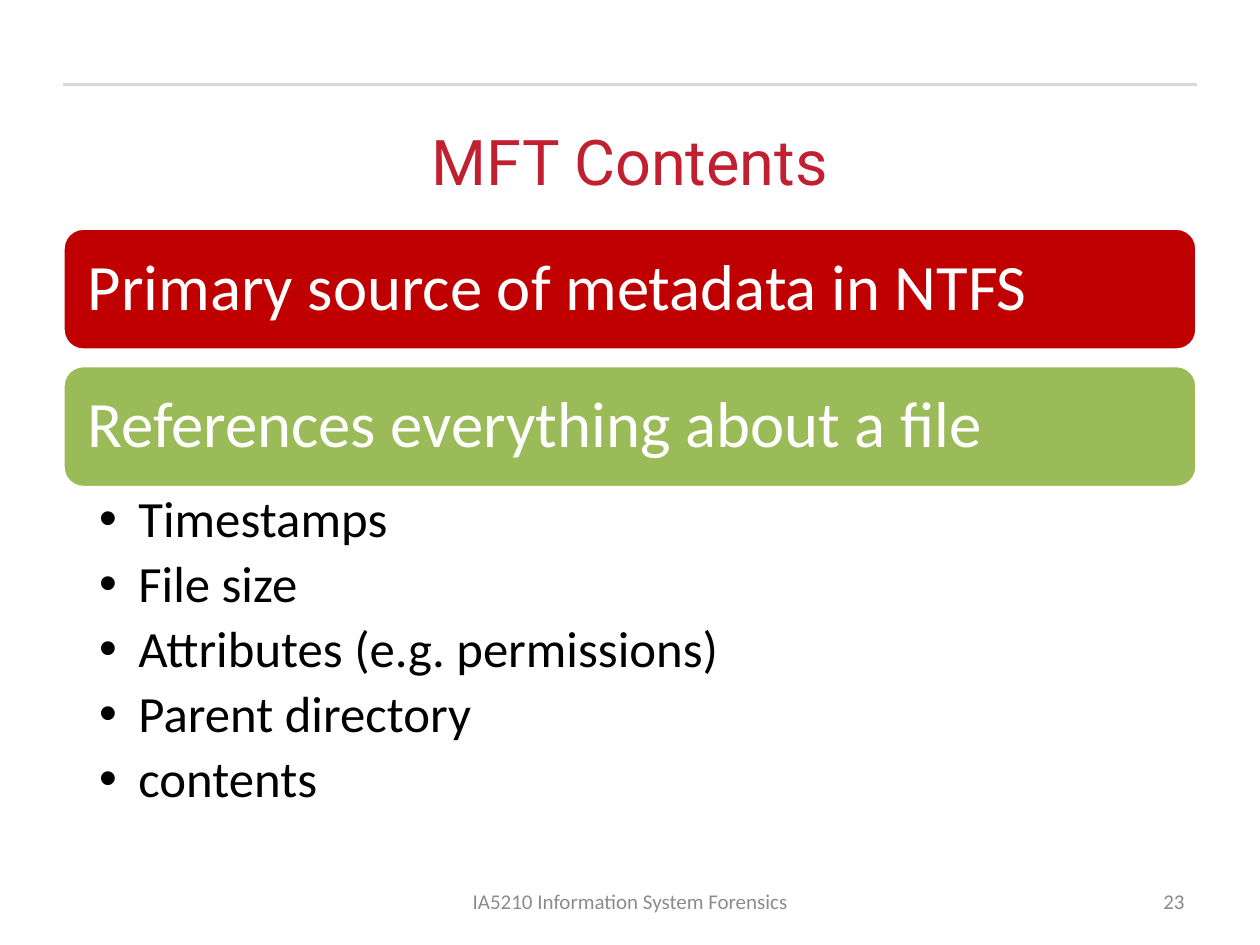
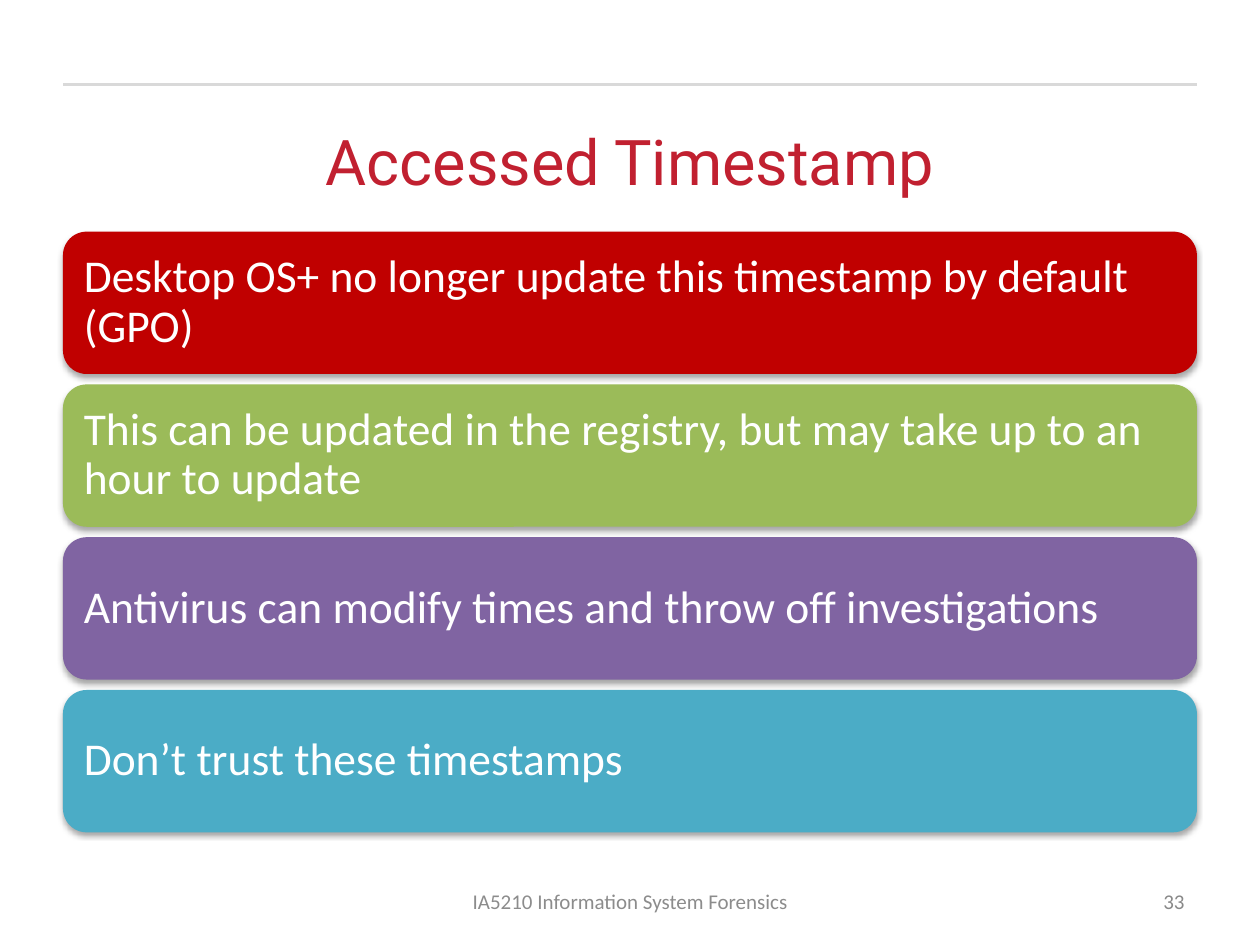
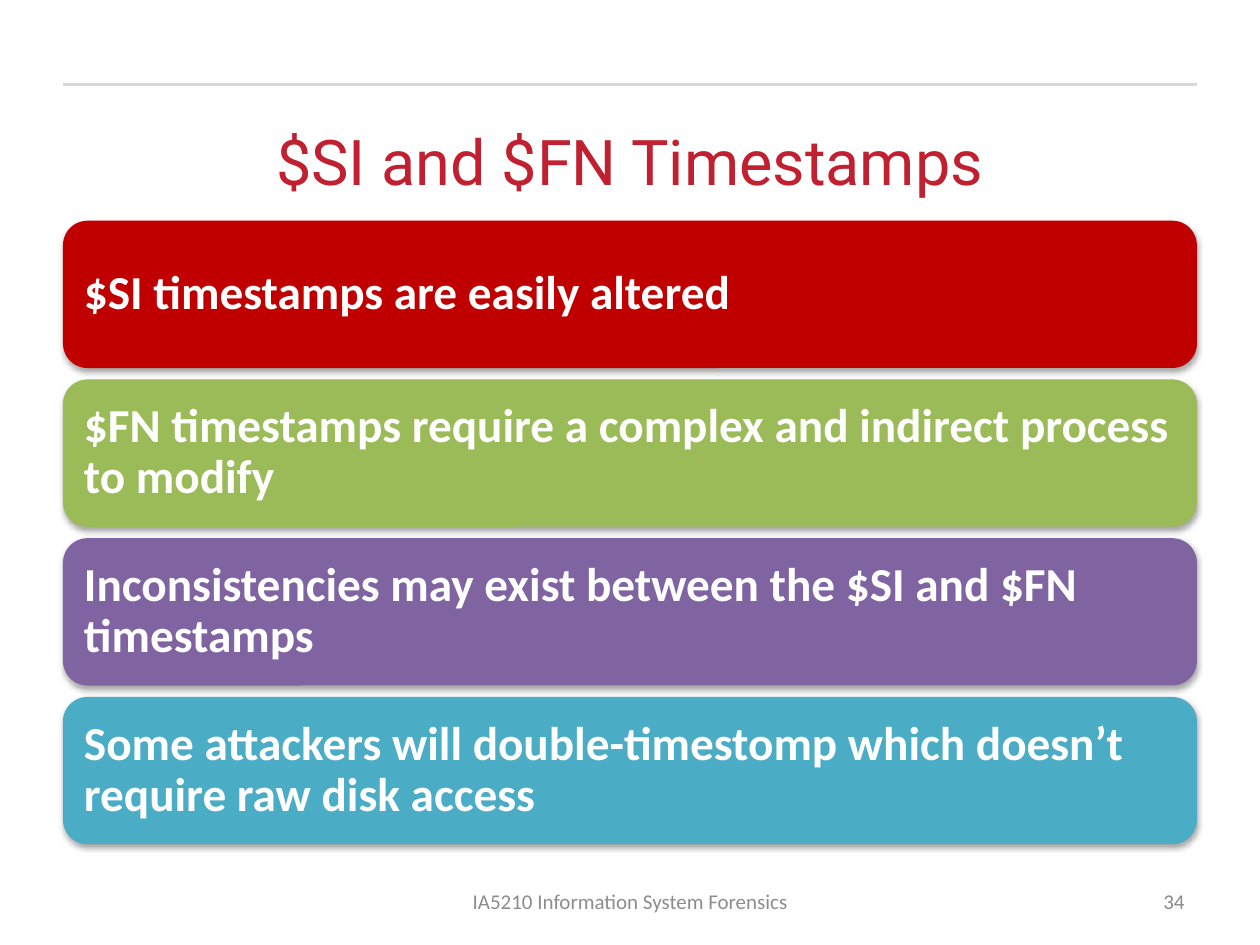
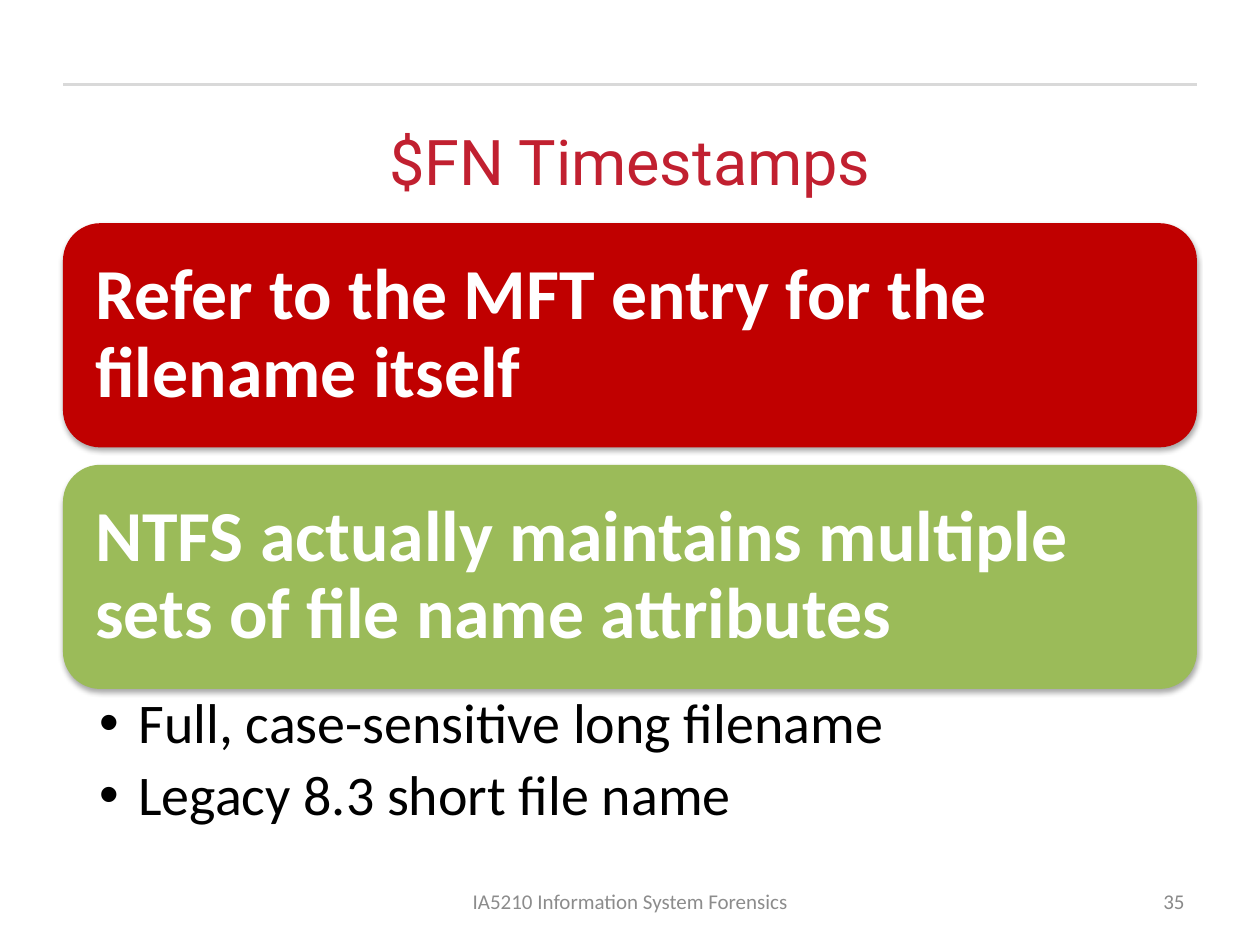
from lxml import etree
from pptx import Presentation
from pptx import util as u
from pptx.dml.color import RGBColor
from pptx.enum import shapes, text
from pptx.oxml import ns

RED = RGBColor(0xC0, 0x00, 0x00)
GREEN = RGBColor(0x9B, 0xBB, 0x59)
PURPLE = RGBColor(0x80, 0x64, 0xA2)
TEAL = RGBColor(0x4B, 0xAC, 0xC6)
WHITE = RGBColor(0xFF, 0xFF, 0xFF)
BLACK = RGBColor(0x00, 0x00, 0x00)
TITLE_RED = RGBColor(0xC1, 0x20, 0x30)
RULE_GREY = RGBColor(0xD9, 0xD9, 0xD9)
FOOTER_GREY = RGBColor(0x8C, 0x8C, 0x8C)
NUMBER_GREY = RGBColor(0x89, 0x89, 0x89)
BAND_COLORS = [RED, GREEN, PURPLE, TEAL]

BODY_FONT = "Calibri"
TITLE_FONT = "Roboto"
FOOTER = "IA5210 Information System Forensics"
LEFT = 1.27
WIDTH = 22.86


def add_child(parent, tag, **attributes):
    return etree.SubElement(parent, ns.qn(tag), attributes)


def set_frame(shape, anchor, horizontal=0.25, vertical=0.13):
    frame = shape.text_frame
    frame.word_wrap = True
    frame.vertical_anchor = anchor
    frame.margin_left = frame.margin_right = u.Cm(horizontal)
    frame.margin_top = frame.margin_bottom = u.Cm(vertical)
    return frame


def write(paragraph, words, size, color, align, font=BODY_FONT, bold=False):
    paragraph.alignment = align
    run = paragraph.add_run()
    run.text = words
    run.font.name = font
    run.font.size = u.Pt(size)
    run.font.bold = bold
    run.font.color.rgb = color


def add_label(slide, box, words, size, color, align, anchor, font=BODY_FONT):
    shape = slide.shapes.add_textbox(*map(u.Cm, box))
    frame = set_frame(shape, anchor)
    write(frame.paragraphs[0], words, size, color, align, font)


def add_rule(slide):
    y = u.Cm(1.7)
    rule = slide.shapes.add_connector(
        shapes.MSO_CONNECTOR.STRAIGHT, u.Cm(LEFT), y, u.Cm(LEFT + WIDTH), y)
    rule.line.color.rgb = RULE_GREY
    rule.line.width = u.Pt(2)
    add_child(rule._element.spPr, "a:effectLst")


def add_slide(presentation, title, number):
    slide = presentation.slides.add_slide(presentation.slide_layouts[6])
    middle = text.MSO_ANCHOR.MIDDLE
    add_rule(slide)
    add_label(slide, (LEFT, 2.34, WIDTH, 2.11), title, 36, TITLE_RED,
              text.PP_ALIGN.CENTER, text.MSO_ANCHOR.TOP, TITLE_FONT)
    add_label(slide, (8.68, 17.65, 8.05, 1.02), FOOTER, 12, FOOTER_GREY,
              text.PP_ALIGN.CENTER, middle)
    add_label(slide, (18.21, 17.65, 5.92, 1.02), str(number), 12, NUMBER_GREY,
              text.PP_ALIGN.RIGHT, middle)
    return slide


def add_shadow(shape):
    effects = shape._element.spPr.find(ns.qn("a:effectLst"))
    shadow = add_child(effects, "a:outerShdw", blurRad=str(u.Pt(3.1)),
                       dist=str(u.Pt(1.8)), dir="5400000", rotWithShape="0")
    color = add_child(shadow, "a:srgbClr", val=str(BLACK))
    add_child(color, "a:alpha", val="35000")


def add_bands(slide, top, height, pitch, size, margin, lines,
              bold=False, outlined=False):
    for index, (line, color) in enumerate(zip(lines, BAND_COLORS)):
        band = slide.shapes.add_shape(
            shapes.MSO_SHAPE.ROUNDED_RECTANGLE, u.Cm(LEFT),
            u.Cm(top + index * pitch), u.Cm(WIDTH), u.Cm(height))
        band.shadow.inherit = False
        band.fill.solid()
        band.fill.fore_color.rgb = color
        if outlined:
            band.line.color.rgb = WHITE
            band.line.width = u.Pt(2)
        else:
            band.line.fill.background()
            add_shadow(band)
        frame = set_frame(band, text.MSO_ANCHOR.MIDDLE, margin, margin)
        paragraph = frame.paragraphs[0]
        paragraph.line_spacing = 0.9
        write(paragraph, line, size, WHITE, text.PP_ALIGN.LEFT, bold=bold)


def add_bullets(slide, top, height, size, lines):
    shape = slide.shapes.add_textbox(
        u.Cm(LEFT), u.Cm(top), u.Cm(WIDTH), u.Cm(height))
    frame = set_frame(shape, text.MSO_ANCHOR.TOP, 0.73)
    indent = u.Cm(0.79)
    for index, line in enumerate(lines):
        paragraph = frame.add_paragraph() if index else frame.paragraphs[0]
        paragraph.line_spacing = 0.9
        paragraph.space_after = u.Pt(0.2 * size)
        write(paragraph, line, size, BLACK, text.PP_ALIGN.LEFT)
        properties = paragraph._p.get_or_add_pPr()
        properties.set("marL", str(indent))
        properties.set("indent", str(-indent))
        add_child(properties, "a:buFont", typeface="Arial")
        add_child(properties, "a:buChar", char="•")


def main():
    presentation = Presentation()
    presentation.slide_width = u.Cm(25.4)
    presentation.slide_height = u.Cm(19.05)

    slide = add_slide(presentation, "MFT Contents", 23)
    add_bands(slide, 4.6, 2.46, 2.77, 37, 0.38, [
        "Primary source of metadata in NTFS",
        "References everything about a file",
    ], outlined=True)
    add_bullets(slide, 9.83, 7.01, 29, [
        "Timestamps",
        "File size",
        "Attributes (e.g. permissions)",
        "Parent directory",
        "contents",
    ])

    slide = add_slide(presentation, "Accessed Timestamp", 33)
    add_bands(slide, 4.67, 2.87, 3.08, 26, 0.28, [
        "Desktop OS+ no longer update this timestamp by default (GPO)",
        "This can be updated in the registry, but may take up to an hour to update",
        "Antivirus can modify times and throw off investigations",
        "Don’t trust these timestamps",
    ])

    slide = add_slide(presentation, "$SI and $FN Timestamps", 34)
    add_bands(slide, 4.45, 2.97, 3.2, 27, 0.28, [
        "$SI timestamps are easily altered",
        "$FN timestamps require a complex and indirect process to modify",
        "Inconsistencies may exist between the $SI and $FN timestamps",
        "Some attackers will double-timestomp which doesn’t require raw disk access",
    ], bold=True)

    slide = add_slide(presentation, "$FN Timestamps", 35)
    add_bands(slide, 4.5, 4.52, 4.87, 41, 0.43, [
        "Refer to the MFT entry for the filename itself",
        "NTFS actually maintains multiple sets of file name attributes",
    ], bold=True)
    add_bullets(slide, 13.89, 3.07, 32, [
        "Full, case-sensitive long filename",
        "Legacy 8.3 short file name",
    ])

    presentation.save("out.pptx")


if __name__ == "__main__":
    main()
